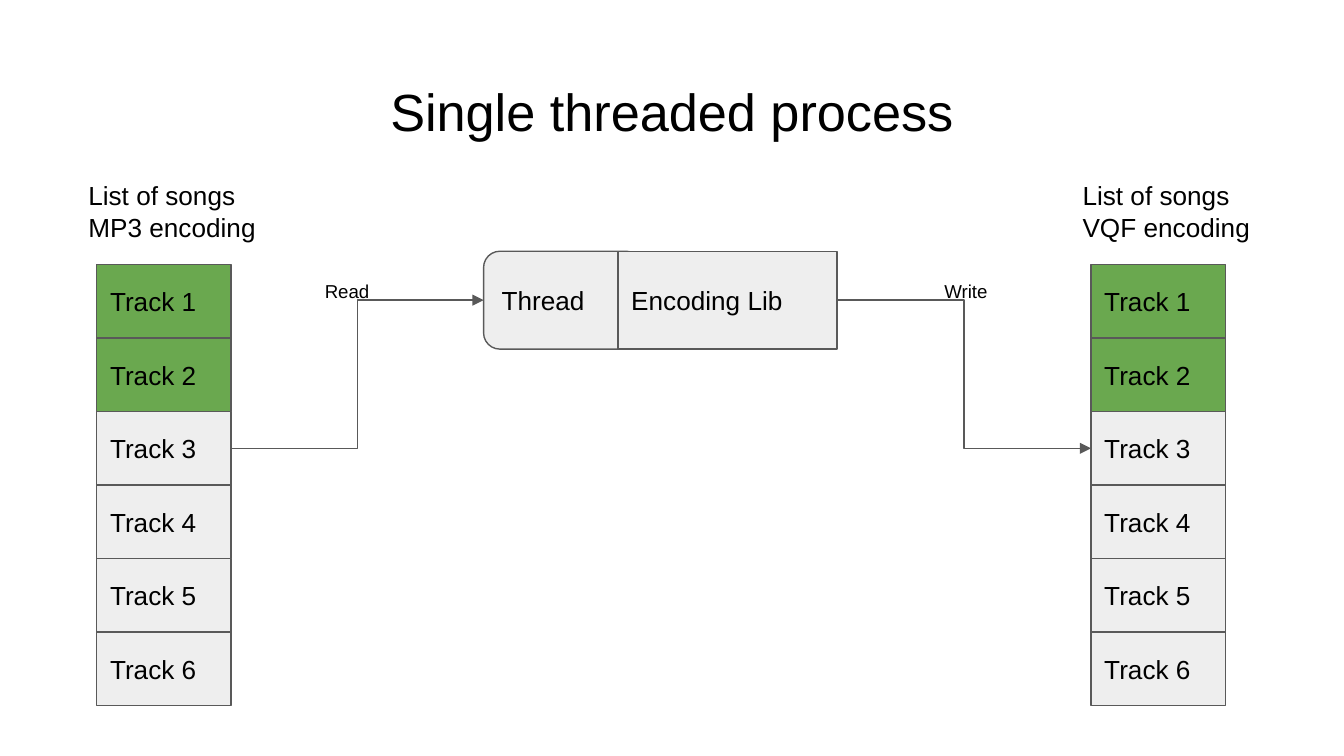
from lxml.etree import SubElement
from pptx import Presentation
from pptx.dml.color import RGBColor
from pptx.enum.shapes import MSO_CONNECTOR as Link, MSO_SHAPE as Preset
from pptx.enum.text import MSO_ANCHOR as Anchor, PP_ALIGN as Align
from pptx.oxml.ns import qn
from pptx.util import Cm, Pt

# Content
TITLE = "Single threaded process"
TRACKS = [f"Track {number}" for number in range(1, 7)]
DONE = 2  # tracks already encoded
CURRENT = 2  # index of the track in progress
SONG_LISTS = [  # heading, left edge in cm
    ("List of songs\nMP3 encoding", 1.83),
    ("List of songs\nVQF encoding", 20.62),
]
WORKER_PARTS = [  # text, preset, left, width in cm
    ("Thread", Preset.ROUNDED_RECTANGLE, 9.14, 3.0),
    ("Encoding Lib", Preset.RECTANGLE, 11.68, 4.14),
]
READ = ("Read", 5.89, 5.08, 1.91, 0.97)
WRITE = ("Write", 17.6, 5.08, 1.5, 0.81)

GREEN, GREY, LINE, BLACK = "6AA84F", "EEEEEE", "595959", "000000"
TRACK_TOP, TRACK_WIDTH, TRACK_HEIGHT = 5.0, 2.54, 1.39
WORKER_TOP, WORKER_HEIGHT = 4.75, 1.85
LEFT_SITE, RIGHT_SITE = 1, 3


def color(hex_string):
    return RGBColor.from_string(hex_string)


def write(shape, text, size, anchor=Anchor.TOP, align=Align.LEFT):
    frame = shape.text_frame
    frame.text = text
    frame.word_wrap = True
    frame.vertical_anchor = anchor
    frame.margin_left = frame.margin_right = Cm(0.25)
    frame.margin_top = frame.margin_bottom = Cm(0.25)
    for paragraph in frame.paragraphs:
        paragraph.alignment = align
        for run in paragraph.runs:
            run.font.name = "Arial"
            run.font.size = Pt(size)
            run.font.color.rgb = color(BLACK)


def add_box(parent, preset, text, left, top, width, height, fill):
    box = parent.shapes.add_shape(preset, Cm(left), Cm(top), Cm(width), Cm(height))
    box.shadow.inherit = False
    box.fill.solid()
    box.fill.fore_color.rgb = color(fill)
    box.line.color.rgb = color(LINE)
    box.line.width = Pt(0.75)
    write(box, text, 14, Anchor.MIDDLE)
    return box


def add_label(parent, text, left, top, width, height, size):
    label = parent.shapes.add_textbox(Cm(left), Cm(top), Cm(width), Cm(height))
    write(label, text, size)


def add_arrow(source, target):
    arrow = slide.shapes.add_connector(Link.ELBOW, 0, 0, 0, 0)
    arrow.begin_connect(source, RIGHT_SITE)
    arrow.end_connect(target, LEFT_SITE)
    arrow.line.color.rgb = color(LINE)
    arrow.line.width = Pt(0.75)
    SubElement(arrow.line._get_or_add_ln(), qn("a:tailEnd"), type="triangle")
    SubElement(arrow._element.spPr, qn("a:effectLst"))


deck = Presentation()
deck.slide_width, deck.slide_height = Cm(25.4), Cm(14.29)
slide = deck.slides.add_slide(deck.slide_layouts[5])

# Title
title = slide.shapes.title
title.left, title.top, title.width, title.height = Cm(0.86), Cm(1.24), Cm(23.67), Cm(1.6)
write(title, TITLE, 28, align=Align.CENTER)

# Song lists
current_tracks = []
for heading, left in SONG_LISTS:
    song_list = slide.shapes.add_group_shape()
    tracks = [
        add_box(song_list, Preset.RECTANGLE, track, left, TRACK_TOP + index * TRACK_HEIGHT,
                TRACK_WIDTH, TRACK_HEIGHT, GREEN if index < DONE else GREY)
        for index, track in enumerate(TRACKS)
    ]
    add_label(song_list, heading, left - 0.41, 3.15, 3.84, 1.85, 14)
    current_tracks.append(tracks[CURRENT])

# Worker
worker = slide.shapes.add_group_shape()
thread, encoder = [
    add_box(worker, preset, text, left, WORKER_TOP, width, WORKER_HEIGHT, GREY)
    for text, preset, left, width in WORKER_PARTS
]

# Read and write steps
mp3_track, vqf_track = current_tracks
for source, target, step in [(mp3_track, thread, READ), (encoder, vqf_track, WRITE)]:
    add_arrow(source, target)
    add_label(slide, *step, 10)

deck.save("out.pptx")
